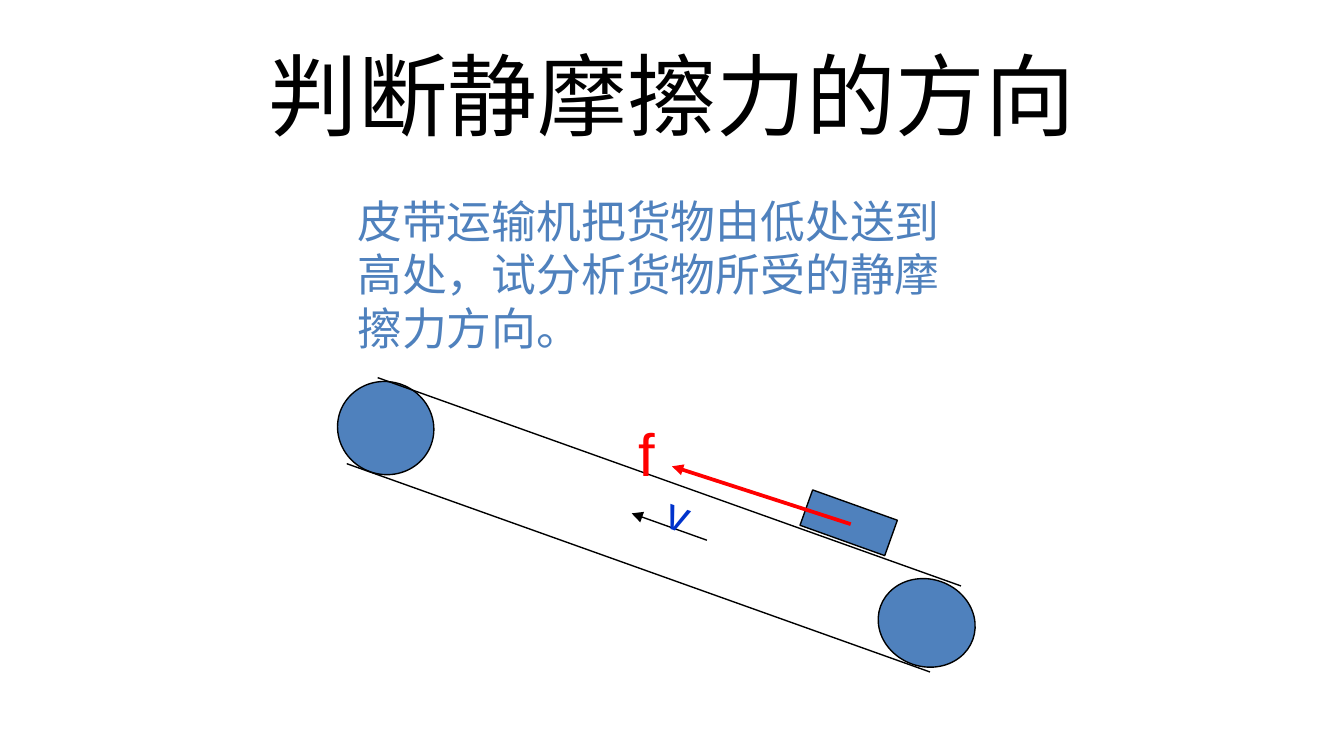
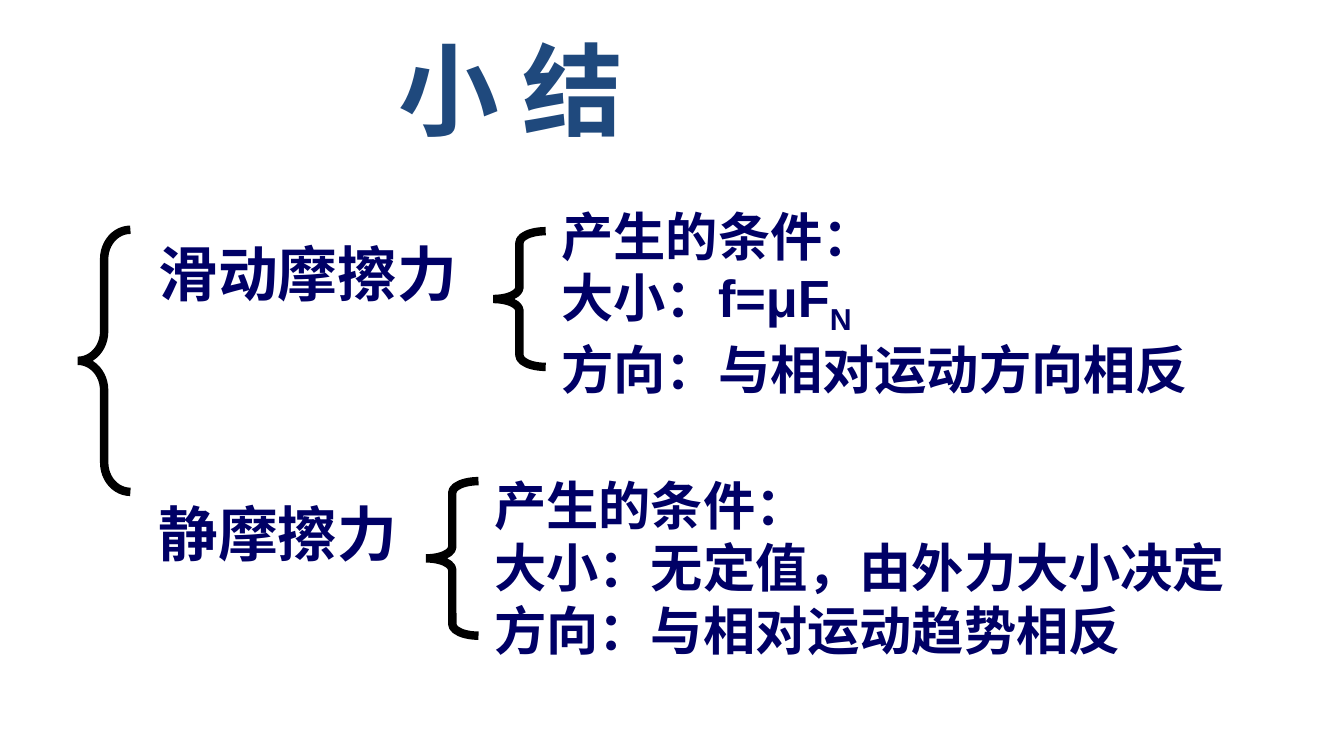
from collections import namedtuple
from dataclasses import dataclass

from lxml.etree import SubElement
from pptx import Presentation
from pptx.dml.color import RGBColor
from pptx.enum.shapes import MSO_CONNECTOR, MSO_SHAPE
from pptx.enum.text import MSO_ANCHOR, MSO_AUTO_SIZE, PP_ALIGN
from pptx.oxml.ns import qn
from pptx.util import Pt

PX = 9144
SLIDE_WIDTH = 1000
Box = namedtuple("Box", "left top width height")


@dataclass(frozen=True)
class Theme:
    black: str = "000000"
    blue: str = "4F81BD"
    red: str = "FF0000"
    velocity: str = "0033CC"
    heading: str = "1F497D"
    navy: str = "000066"
    latin: str = "Arial"
    title_font: str = "Calibri"
    cjk: str = "Noto Sans CJK SC"
    cjk_heading: str = "Noto Sans CJK JP"
    title: int = 48
    summary: int = 54
    label: int = 32
    detail: int = 28
    body: int = 24
    leading: float = 1.2
    thin: float = 0.75
    force: float = 2
    brace: float = 4.5
    tilt: float = 19.7


THEME = Theme()


def emu(*lengths):
    return [round(length * PX) for length in lengths]


def inside(box, left, top, width, height):
    return Box(box.left + left, box.top + top, width, height)


def color(value):
    return RGBColor.from_string(value)


def write(shapes, box, lines, *, size, ink, latin=THEME.latin, cjk=THEME.cjk,
          bold=False, align=None, anchor=MSO_ANCHOR.TOP, wrap=True, grow=False,
          indent=0, gaps=(), leading=None, tilt=0):
    holder = shapes.add_textbox(*emu(*box))
    holder.rotation = tilt
    frame = holder.text_frame
    frame.word_wrap = wrap
    frame.vertical_anchor = anchor
    frame.auto_size = MSO_AUTO_SIZE.SHAPE_TO_FIT_TEXT if grow else MSO_AUTO_SIZE.NONE
    for index, line in enumerate(lines):
        paragraph = frame.add_paragraph() if index else frame.paragraphs[0]
        paragraph.alignment = align
        if leading:
            paragraph.line_spacing = Pt(size * leading)
        if index and gaps:
            paragraph.space_before = Pt(gaps[index - 1])
        if indent:
            properties = paragraph._p.get_or_add_pPr()
            properties.set("marL", str(indent * PX))
            properties.set("indent", "0")
        base, *subscript = line.split("_")
        for words, shift in [(base, 0)] + [(part, -25000) for part in subscript]:
            run = paragraph.add_run()
            run.text = words
            run.font.size = Pt(size)
            run.font.bold = bold
            run.font.color.rgb = color(ink)
            run.font.name = latin
            run_properties = run._r.get_or_add_rPr()
            SubElement(run_properties, qn("a:ea")).set("typeface", cjk)
            if shift:
                run_properties.set("baseline", str(shift))


def draw_part(shapes, preset, box, *, fill=None, weight=THEME.thin, tilt=0):
    part = shapes.add_shape(preset, *emu(*box))
    part.shadow.inherit = False
    part.rotation = tilt
    if fill:
        part.fill.solid()
        part.fill.fore_color.rgb = color(fill)
    else:
        part.fill.background()
    part.line.color.rgb = color(THEME.black)
    part.line.width = Pt(weight)
    return part


def draw_line(shapes, box, start, end, *, ink=THEME.black, weight=THEME.thin, arrow=False):
    points = [box.left + start[0], box.top + start[1], box.left + end[0], box.top + end[1]]
    stroke = shapes.add_connector(MSO_CONNECTOR.STRAIGHT, *emu(*points))
    stroke.line.color.rgb = color(ink)
    stroke.line.width = Pt(weight)
    if arrow:
        SubElement(stroke.line._get_or_add_ln(), qn("a:headEnd")).set("type", "triangle")
    SubElement(stroke._element.spPr, qn("a:effectLst"))


def draw_brace(shapes, box, curl):
    brace = draw_part(shapes, MSO_SHAPE.LEFT_BRACE, box, weight=THEME.brace)
    brace.adjustments[0] = curl
    SubElement(brace.line._get_or_add_ln(), qn("a:bevel"))


def draw_conveyor(slide, box):
    belt = slide.shapes.add_group_shape().shapes
    for roller in ((0, 3, 72, 69), (402, 150, 73, 65)):
        draw_part(belt, MSO_SHAPE.OVAL, inside(box, *roller), fill=THEME.blue, tilt=THEME.tilt)
    for left, top in ((30, 0), (7, 64)):
        draw_line(belt, box, (left, top), (left + 434, top + 155))
    draw_part(belt, MSO_SHAPE.RECTANGLE, inside(box, 347, 94, 67, 28),
              fill=THEME.blue, tilt=THEME.tilt)
    draw_line(belt, box, (219, 101), (275, 121), arrow=True)
    write(belt, inside(box, 236, 76, 36, 50), ["v"], size=THEME.body, ink=THEME.velocity,
          wrap=False, grow=True, tilt=THEME.tilt)


def draw_friction(slide, box):
    draw_line(slide.shapes, box, (35, 42), (168, 85), ink=THEME.red,
              weight=THEME.force, arrow=True)
    write(slide.shapes, inside(box, 0, 0, 32, 64), ["f"], size=THEME.label, ink=THEME.red,
          wrap=False, grow=True)


def build_direction_slide(slide):
    draw_conveyor(slide, Box(251, 281, 475, 219))
    write(slide.shapes, Box(256, 139, 475, 106),
          ["皮带运输机把货物由低处送到高处，试分析货物所受的静摩擦力方向。"],
          size=THEME.body, ink=THEME.blue, leading=THEME.leading)
    write(slide.shapes, Box(50, 23, 900, 94), ["判断静摩擦力的方向"], size=THEME.title,
          ink=THEME.black, latin=THEME.title_font, align=PP_ALIGN.CENTER,
          anchor=MSO_ANCHOR.MIDDLE)
    draw_friction(slide, Box(465, 305, 168, 85))


def draw_friction_kinds(slide, box):
    write(slide.shapes, inside(box, 50, 0, 517, 269), ["滑动摩擦力", "静摩擦力"],
          size=THEME.label, ink=THEME.navy, latin=THEME.cjk, bold=True,
          gaps=[101], leading=THEME.leading)
    draw_brace(slide.shapes, inside(box, 0, 0, 39, 195), 0.56)


def draw_properties(slide, box, lines, brace_top, brace_height, gaps=()):
    write(slide.shapes, box, lines, size=THEME.detail, ink=THEME.navy, bold=True,
          grow=True, indent=50, gaps=gaps, leading=THEME.leading)
    draw_brace(slide.shapes, inside(box, 9, brace_top, 39, brace_height), 0.22)


def build_summary_slide(slide):
    write(slide.shapes, Box(287, 27, 224, 77), ["小 结"], size=THEME.summary,
          ink=THEME.heading, latin=THEME.cjk_heading, cjk=THEME.cjk_heading,
          bold=True, anchor=MSO_ANCHOR.MIDDLE)
    draw_friction_kinds(slide, Box(58, 171, 567, 269))
    draw_properties(slide, Box(308, 347, 658, 150),
                    ["产生的条件：", "大小：无定值，由外力大小决定", "方向：与相对运动趋势相反"],
                    11, 115)
    draw_properties(slide, Box(358, 147, 542, 157),
                    ["产生的条件：", "大小：f=μF_N", "方向：与相对运动方向相反"],
                    25, 101, gaps=[4, 0])


def main():
    deck = Presentation()
    deck.slide_width = SLIDE_WIDTH * PX
    deck.slide_height = SLIDE_WIDTH * PX * 9 // 16
    for build in (build_direction_slide, build_summary_slide):
        build(deck.slides.add_slide(deck.slide_layouts[6]))
    deck.save("out.pptx")


if __name__ == "__main__":
    main()
